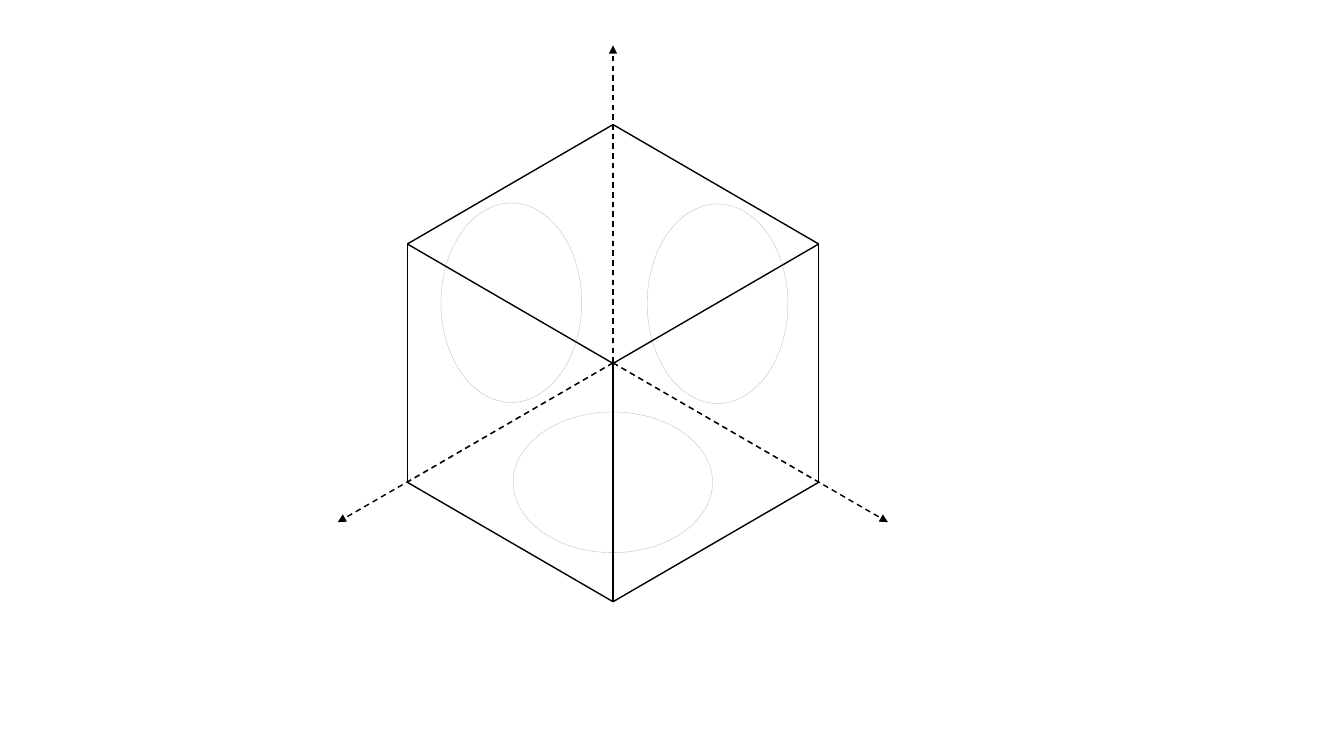
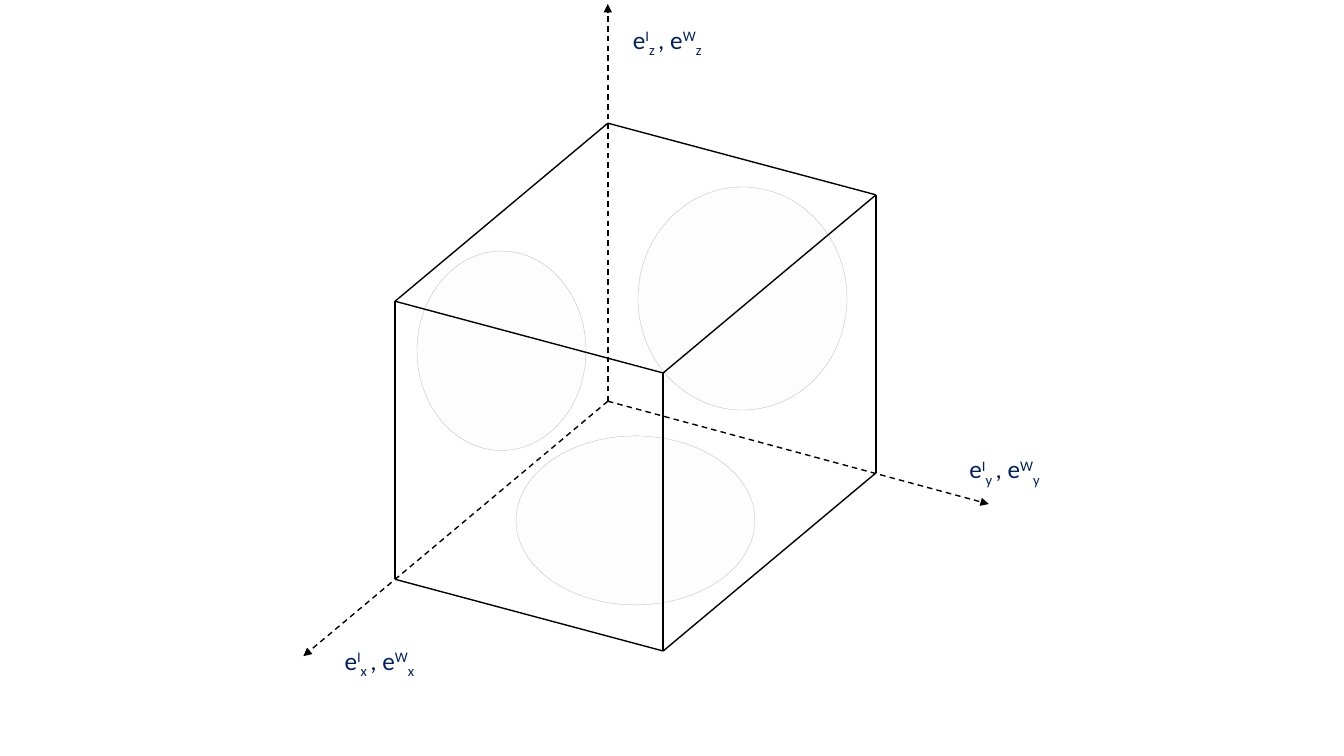
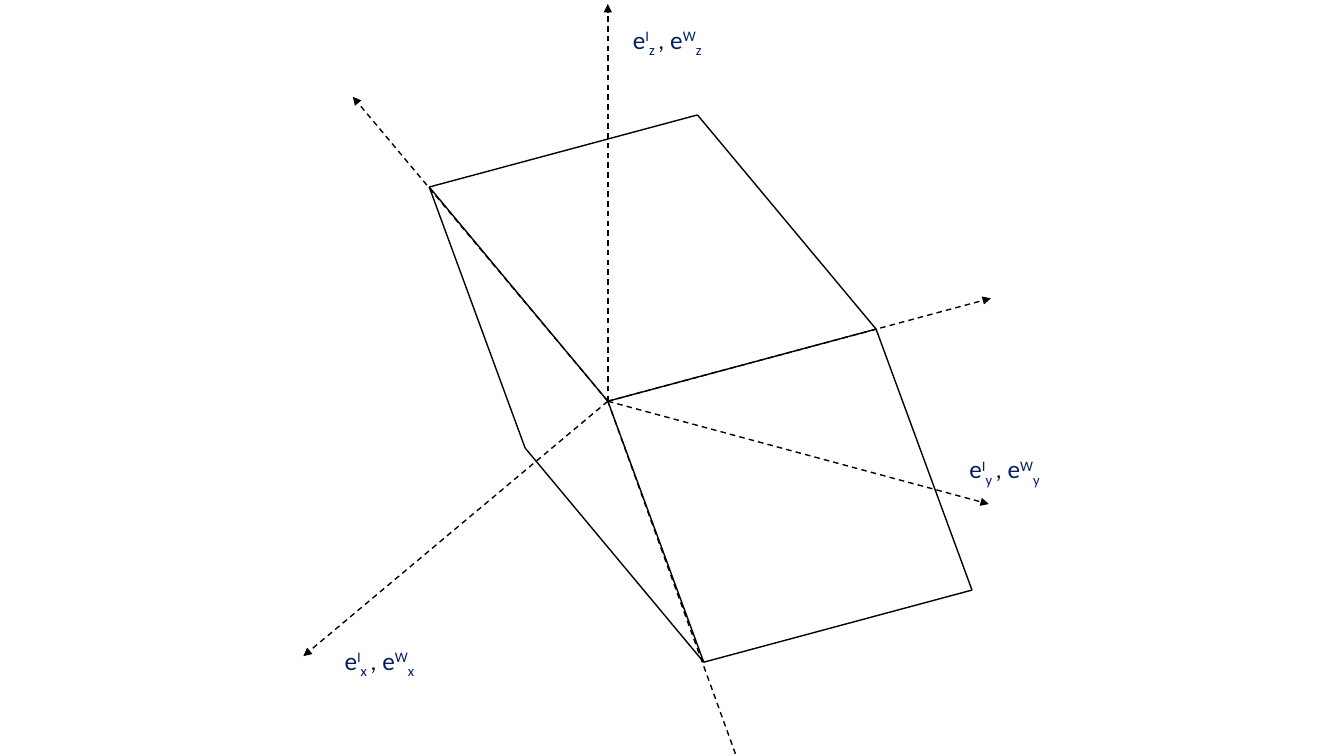
from itertools import product
from pptx import Presentation
from pptx.dml.color import RGBColor
from pptx.enum import dml, shapes, text as text_enum
from pptx.oxml import xmlchemy
from pptx.oxml.ns import qn
from pptx.util import Pt
from lxml import etree

BLACK, NAVY, GREY, WHITE, PALE = "000000", "002060", "BFBFBF", "FFFFFF", "FDFDFD"
FONT = "Calibri"
hex_color = RGBColor.from_string


def write(paragraph, text, size=18, color=NAVY, baseline=0):
    run = paragraph.add_run()
    run.text = text
    run.font.name = FONT
    run.font.size = Pt(size)
    run.font.color.rgb = hex_color(color)
    if baseline:
        run.font._element.set("baseline", str(baseline * 1000))


def draw_line(slide, start, end, dashed=False, arrow=False, opacity=100):
    points = [Pt(value) for value in (*start, *end)]
    connector = slide.shapes.add_connector(shapes.MSO_CONNECTOR.STRAIGHT, *points)
    connector.line.width = Pt(1)
    connector.line.color.rgb = hex_color(BLACK)
    if dashed:
        connector.line.dash_style = dml.MSO_LINE.DASH
    outline = connector.get_or_add_ln()
    if opacity < 100:
        color = outline.find(".//" + qn("a:srgbClr"))
        etree.SubElement(color, qn("a:alpha"), val=str(opacity * 1000))
    if arrow:
        etree.SubElement(outline, qn("a:tailEnd"), type="triangle")
    etree.SubElement(connector._element.spPr, qn("a:effectLst"))


world_origin = (434.2, 286.6)
world_tips = [(434.2, 2.9), (216.7, 468.7), (706.3, 360)]
world_labels = [("z", 445, 13.7), ("x", 239, 457.2), ("y", 685.4, 320.4)]

scenes = [
    dict(origin=(437.9, 259.2),
         edges=[(-146.9, 85.3), (146.9, 85.3), (0, -170.2)],
         tips=[(437.9, 32.4), (634.3, 373), (241.2, 373)],
         labels=[], solid_levels=(1, 2), faded_levels=(0,), fill=WHITE,
         ellipses=[(315, 145, 100.5, 142.5), (462.3, 145.7, 100.5, 142.5),
                   (366.5, 294.3, 142.5, 100.5)]),
    dict(origin=world_origin,
         edges=[(-152, 127.2), (191.5, 51.2), (0, -198.6)],
         tips=world_tips,
         labels=world_labels, solid_levels=(1, 2), faded_levels=(), fill=PALE,
         ellipses=[(297.9, 179.3, 120.7, 142.5), (368.6, 311.4, 170.7, 120.7),
                   (455.7, 133.6, 149.3, 159.3)]),
    dict(origin=world_origin,
         edges=[(191.6, -51.5), (68.5, 186.4), (-127.6, -153)],
         tips=world_tips + [(530.6, 553), (707.8, 213.1), (252, 69.1)],
         labels=world_labels, solid_levels=(0, 1), faded_levels=(), fill=PALE,
         ellipses=[]),
]

presentation = Presentation()
presentation.slide_width = Pt(960)
presentation.slide_height = Pt(540)

for scene in scenes:
    slide = presentation.slides.add_slide(presentation.slide_layouts[6])
    origin, edges = scene["origin"], scene["edges"]

    for box in scene["ellipses"]:
        ellipse = slide.shapes.add_shape(
            shapes.MSO_SHAPE.OVAL, *[Pt(value) for value in box])
        ellipse.shadow.inherit = False
        ellipse.fill.solid()
        ellipse.fill.fore_color.rgb = hex_color(scene["fill"])
        ellipse.line.color.rgb = hex_color(GREY)
        ellipse.line.width = Pt(0.25)

    for tip in scene["tips"]:
        draw_line(slide, origin, tip, dashed=True, arrow=True)

    for corner, axis in product(product((0, 1), repeat=3), range(3)):
        level = sum(corner)
        faded = level in scene["faded_levels"]
        if corner[axis] or not (faded or level in scene["solid_levels"]):
            continue
        start = [origin[i] + sum(used * edge[i] for used, edge in zip(corner, edges))
                 for i in range(2)]
        end = [start[i] + edges[axis][i] for i in range(2)]
        draw_line(slide, start, end, dashed=faded, opacity=50 if faded else 100)

    for name, left, top in scene["labels"]:
        label = slide.shapes.add_textbox(Pt(left), Pt(top), Pt(107.3), Pt(29))
        frame = label.text_frame
        frame.word_wrap = True
        frame.auto_size = text_enum.MSO_AUTO_SIZE.SHAPE_TO_FIT_TEXT
        paragraph = frame.paragraphs[0]
        for base, superscript in (("e", "I"), (", e", "W")):
            write(paragraph, base)
            write(paragraph, superscript, baseline=30)
            write(paragraph, name + " ", baseline=-25)

presentation.save("out.pptx")
